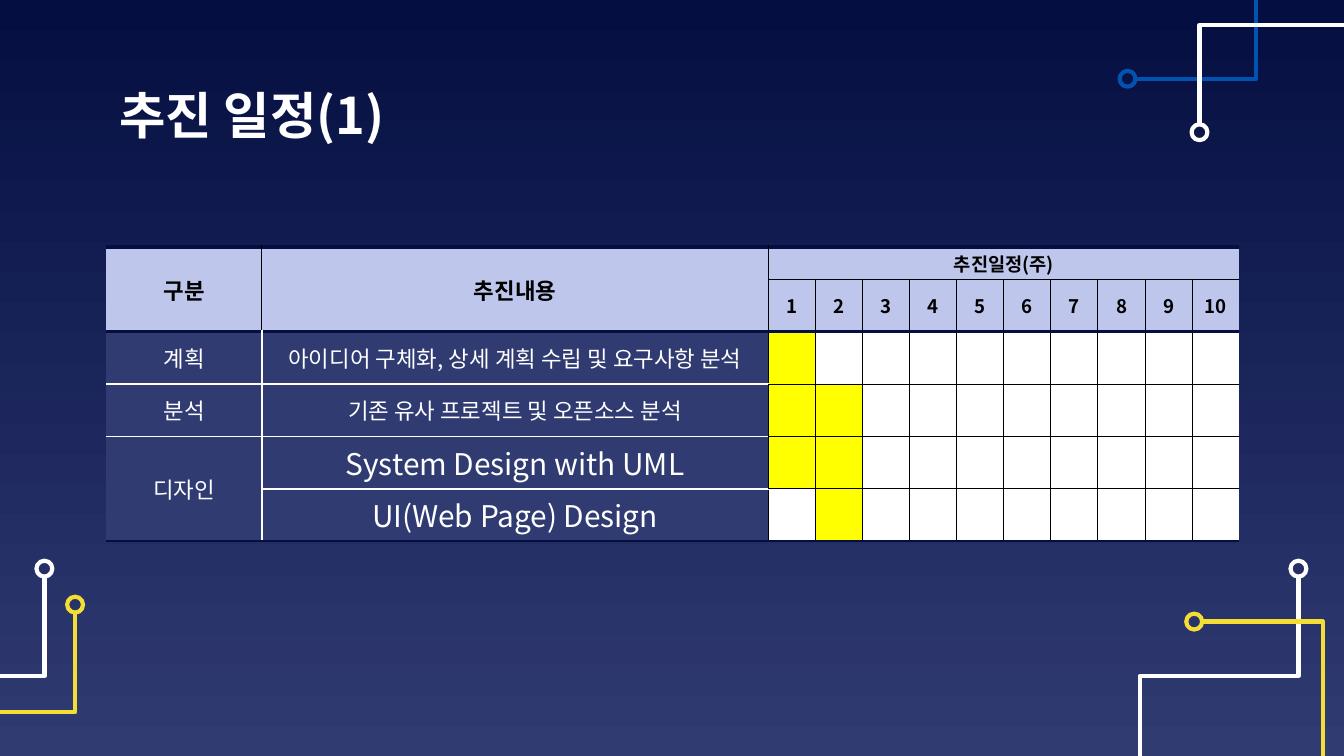
from lxml.etree import SubElement
from pptx import Presentation
from pptx.dml.color import RGBColor
from pptx.enum.shapes import MSO_SHAPE
from pptx.enum.text import MSO_ANCHOR, MSO_AUTO_SIZE, PP_ALIGN
from pptx.oxml.ns import qn
from pptx.util import Cm, Pt

FACE = "Noto Sans CJK KR"
NAVY, SLATE, PALE = "040E41", "303B72", "BEC6EC"
WHITE, BLACK, BLUE, GOLD, MARK = "FFFFFF", "000000", "0152B1", "F5DE34", "FFFF00"
RING = 0.15  # ring radius in cm

# Circuit shapes, in cm from the centre of their ring
STAIR = [(0, RING), (0, 2.03), (-3, 2.03), (-3, 3.8)]
ELBOW = [(RING, 0), (2.43, 0), (2.43, 2.78)]
# Ring centre, outline, vertical and horizontal direction, colour
GROUPS = [
    [(24.54, 10.75, STAIR, 1, 1, WHITE)],
    [(21.31, 1.49, ELBOW, 1, -1, BLUE), (22.67, 2.5, STAIR, -1, -1, WHITE)],
    [(22.57, 11.75, ELBOW, 1, 1, GOLD)],
    [(0.84, 10.75, STAIR, 1, 1, WHITE)],
    [(1.42, 11.43, STAIR, 1, 1, GOLD)],
]

# Stage, task, text size and busy weeks
TASKS = [
    ("계획", "아이디어 구체화, 상세 계획 수립 및 요구사항 분석", 12, {1}),
    ("분석", "기존 유사 프로젝트 및 오픈소스 분석", 12, {1, 2}),
    ("디자인", "System Design with UML", 16, {1, 2}),
    ("", "UI(Web Page) Design", 16, {2}),
]
WEEKS = 10
WIDTHS = [2.94, 9.57] + [0.89] * WEEKS
HEIGHTS = [0.54] + [0.99] * (len(TASKS) + 1)
# First and last cell of each merged area
SPANS = [((0, 0), (1, 0)), ((0, 1), (1, 1)), ((0, 2), (0, WEEKS + 1)), ((4, 0), (5, 0))]


def tint(code):
    return RGBColor.from_string(code)


def paint(fill, code):
    fill.solid()
    fill.fore_color.rgb = tint(code)


def write(frame, text, size, code, bold=False, align=PP_ALIGN.CENTER):
    para = frame.paragraphs[0]
    para.alignment = align
    run = para.add_run()
    run.text = text
    for key, value in {"size": Pt(size), "bold": bold, "name": FACE}.items():
        setattr(run.font, key, value)
    run.font.color.rgb = tint(code)
    SubElement(run.font._element, qn("a:ea"), typeface=FACE)


def shade(slide):
    fill = slide.background.fill
    fill.gradient()
    fill.gradient_angle = 270
    for stop, spot, code in zip(fill.gradient_stops, (0, 1), (NAVY, SLATE)):
        stop.position = spot
        stop.color.rgb = tint(code)


def stroke(shape, code):
    shape.shadow.inherit = False
    shape.fill.background()
    shape.line.color.rgb = tint(code)
    shape.line.width = Pt(2.25)


def trace(shapes, x, y, steps, flip_x, flip_y, code):
    points = [(Cm(x + flip_x * dx), Cm(y + flip_y * dy)) for dx, dy in steps]
    pen = shapes.build_freeform(*points[0], scale=1.0)
    pen.add_line_segments(points[1:], close=False)
    stroke(pen.convert_to_shape(), code)
    ring = shapes.add_shape(MSO_SHAPE.OVAL, Cm(x - RING), Cm(y - RING), Cm(2 * RING), Cm(2 * RING))
    stroke(ring, code)


def head(slide, text):
    title = slide.shapes.title
    place = {"left": 2.01, "top": 1.5, "width": 21.41, "height": 1.32}
    for key, value in place.items():
        setattr(title, key, Cm(value))
    frame = title.text_frame
    sides = ("left", "right", "top", "bottom")
    form = {f"margin_{side}": Cm(0.25) for side in sides}
    form |= {"vertical_anchor": MSO_ANCHOR.MIDDLE, "auto_size": MSO_AUTO_SIZE.NONE, "word_wrap": True}
    for key, value in form.items():
        setattr(frame, key, value)
    write(frame, text, 27, WHITE, True, PP_ALIGN.LEFT)


# Line colour and width along the top of a row
def level(row, col):
    if row in (0, 2):
        return NAVY, 2.25
    if row == len(HEIGHTS):
        return NAVY, 1.5
    if (row == 1 and col < 2) or (row == 5 and col == 0):
        return None
    return (WHITE, 1) if row > 2 and col < 2 else (BLACK, 0.56)


# Line colour and width along the left of a column
def post(row, col):
    if col in (0, len(WIDTHS)) or (row == 0 and col > 2):
        return None
    return (WHITE, 1) if row > 1 and col == 1 else (BLACK, 0.56)


def edge(cell, row, col):
    high = cell.span_height if cell.is_merge_origin else 1
    wide = cell.span_width if cell.is_merge_origin else 1
    lines = {
        "lnL": post(row, col),
        "lnR": post(row, col + wide),
        "lnT": level(row, col),
        "lnB": level(row + high, col),
    }
    props = cell._tc.get_or_add_tcPr()
    for tag, line in lines.items():
        code, size = line or (None, 0)
        node = SubElement(props, qn(f"a:{tag}"), w=str(Pt(size)))
        if code:
            solid = SubElement(node, qn("a:solidFill"))
            SubElement(solid, qn("a:srgbClr"), val=code)
        else:
            SubElement(node, qn("a:noFill"))


# Text, size and fill of a table cell
def entry(row, col):
    if row < 2:
        heads = {(0, 0): ("구분", 12), (0, 1): ("추진내용", 12), (0, 2): ("추진일정(주)", 10)}
        week = (str(col - 1), 10) if row and col > 1 else ("", 10)
        return *heads.get((row, col), week), PALE
    stage, task, size, busy = TASKS[row - 2]
    if col > 1:
        return "", 10, MARK if col - 1 in busy else WHITE
    return (task, size, SLATE) if col else (stage, 12, SLATE)


def plan(slide):
    frame = slide.shapes.add_table(
        len(HEIGHTS), len(WIDTHS), Cm(2.01), Cm(4.67), Cm(sum(WIDTHS)), Cm(sum(HEIGHTS)))
    table = frame.table
    table.first_row = table.horz_banding = False
    for col, width in zip(table.columns, WIDTHS):
        col.width = Cm(width)
    for row, height in zip(table.rows, HEIGHTS):
        row.height = Cm(height)
    for first, last in SPANS:
        table.cell(*first).merge(table.cell(*last))
    for row in range(len(HEIGHTS)):
        for col in range(len(WIDTHS)):
            cell = table.cell(row, col)
            side = Cm(0.23 if row == 1 and col > 1 else 0.15)
            form = {"margin_left": side, "margin_right": side, "margin_top": Cm(0.05),
                    "margin_bottom": Cm(0.05), "vertical_anchor": MSO_ANCHOR.MIDDLE}
            for key, value in form.items():
                setattr(cell, key, value)
            edge(cell, row, col)
            text, size, code = entry(row, col)
            paint(cell.fill, code)
            if text:
                write(cell.text_frame, text, size, BLACK if row < 2 else WHITE, row < 2)


def main():
    deck = Presentation()
    deck.slide_width, deck.slide_height = Cm(25.4), Cm(14.29)
    slide = deck.slides.add_slide(deck.slide_layouts[5])
    shade(slide)
    # Circuit lines in the corners
    for group in GROUPS:
        shapes = slide.shapes.add_group_shape().shapes
        for item in group:
            trace(shapes, *item)
    # Title and schedule
    head(slide, "추진 일정(1)")
    plan(slide)
    deck.save("out.pptx")


if __name__ == "__main__":
    main()
